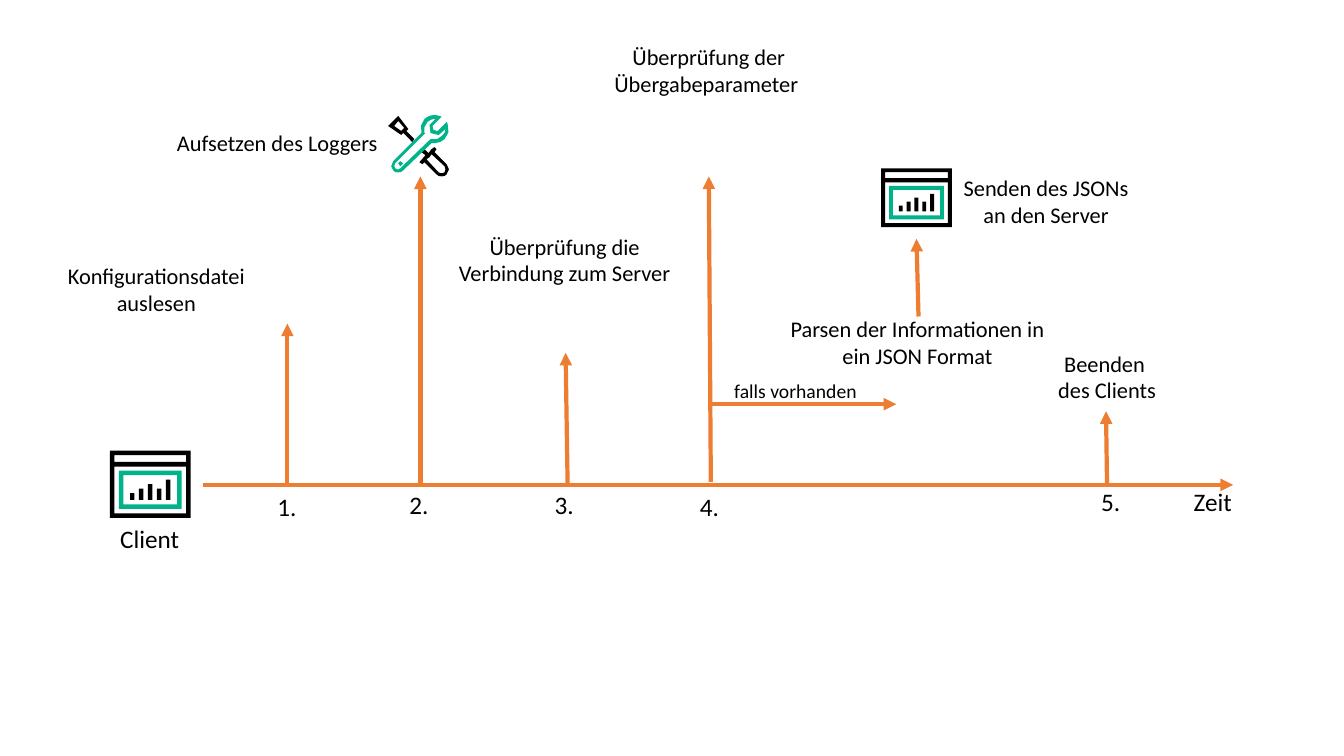
from lxml import etree
from pptx import Presentation
from pptx.dml.color import RGBColor
from pptx.enum.shapes import MSO_CONNECTOR
from pptx.enum.text import MSO_AUTO_SIZE, PP_ALIGN
from pptx.oxml.ns import qn
from pptx.util import Inches, Pt

STRAIGHT = MSO_CONNECTOR.STRAIGHT
GROW = MSO_AUTO_SIZE.SHAPE_TO_FIT_TEXT
LEFT, CENTER = PP_ALIGN.LEFT, PP_ALIGN.CENTER

BLACK = RGBColor(0x00, 0x00, 0x00)
GREEN = RGBColor(0x00, 0xB3, 0x88)
ORANGE = RGBColor(0xED, 0x7D, 0x31)

COLUMNS, ROWS = 13.33, 7.5
SLIDE_WIDTH, SLIDE_HEIGHT = Inches(COLUMNS), Inches(ROWS)
BLANK_LAYOUT = 6

# Icon outlines in icon units; inner contours cut holes.
SCREWDRIVER = [
    [(15, 18), (24, 27), (26, 24), (18, 16), (20, 14), (10, 1), (0, 11), (13, 20)],
    [(6, 11), (10, 6), (16, 13), (13, 16)],
    [(58, 49), (46, 37), (48, 34), (46, 32), (43, 34), (40, 38), (36, 34),
     (33, 37), (37, 40), (31, 47), (34, 49), (36, 47), (48, 59), (50, 60.6),
     (53, 61), (56, 60.6), (58, 59), (60.3, 54)],
    [(56, 57), (54, 57.8), (52, 57.8), (50, 57), (38, 44), (41, 42), (43, 39),
     (56, 51), (56.8, 54)],
]
WRENCH = [
    [(10, 57), (7, 56.8), (5, 55), (3, 51), (5, 46), (33, 18), (32.6, 10.6),
     (36, 4), (40.6, 1), (46, 0), (51, 1), (53, 2), (44, 11), (45, 15), (49, 16),
     (58, 7), (59, 9), (59.8, 17.3), (56, 24), (51.6, 27), (46, 28), (43, 28),
     (15, 55), (12.6, 56.8)],
    [(46, 4), (42.5, 4.8), (39, 7), (36, 12.1), (36, 18), (37, 18), (7, 48),
     (6, 51), (7, 53), (9.5, 54.2), (12, 53), (42, 24), (43, 24), (48.8, 23.9),
     (53, 21), (55.8, 18), (57, 14), (50, 20), (42, 18), (41, 10), (47, 4)],
    [(15, 48), (12, 46), (10, 48), (12, 51)],
]
WINDOW_UNITS = 18
BAR_TOPS = [9.5, 8.5, 7.5, 8.5, 6.5]
BAR_BOTTOM = 11


def rectangle(left, top, right, bottom):
    return [(left, top), (right, top), (right, bottom), (left, bottom)]


class TimelineSlide:
    def __init__(self, deck):
        self.shapes = deck.slides.add_slide(deck.slide_layouts[BLANK_LAYOUT]).shapes
        self.column = SLIDE_WIDTH / COLUMNS
        self.row = SLIDE_HEIGHT / ROWS
        self.font = "Calibri"

    def place(self, x, y):
        return round(x * self.column), round(y * self.row)

    def arrow(self, start, end):
        connector = self.shapes.add_connector(
            STRAIGHT, *self.place(*start), *self.place(*end))
        connector.line.color.rgb = ORANGE
        connector.line.width = Pt(3)
        etree.SubElement(connector.line._get_or_add_ln(), qn("a:tailEnd"), type="triangle")
        etree.SubElement(connector._element.spPr, qn("a:effectLst"))

    def label(self, text, x, y, width, height, size=16, align=CENTER):
        box = self.shapes.add_textbox(*self.place(x, y), *self.place(width, height))
        frame = box.text_frame
        frame.word_wrap = True
        frame.auto_size = GROW
        frame.text = text
        paragraph = frame.paragraphs[0]
        paragraph.alignment = align
        for run in paragraph.runs:
            run.font.name = self.font
            run.font.size = Pt(size)
            run.font.color.rgb = BLACK

    def outline(self, contours, color, x, y, unit):
        """Fill closed contours given in icon units of `unit` columns."""
        precision = 10
        scaled = [[(px * precision, py * precision) for px, py in contour]
                  for contour in contours]
        builder = self.shapes.build_freeform(
            *scaled[0][0], scale=unit * self.column / precision)
        for contour in scaled:
            if contour is not scaled[0]:
                builder.move_to(*contour[0])
            builder.add_line_segments(contour[1:], close=True)
        shape = builder.convert_to_shape(*self.place(x, y))
        shape.fill.solid()
        shape.fill.fore_color.rgb = color
        shape.line.fill.background()
        shape.shadow.inherit = False

    def window_icon(self, x, y, width):
        unit = width / WINDOW_UNITS
        screen = [rectangle(2, 4.5, 16, 13), rectangle(3, 5.5, 15, 12)]
        frame = [rectangle(0, 0, 18, 15), rectangle(1, 1, 17, 2.5),
                 rectangle(1, 3.6, 17, 14)]
        bars = [rectangle(4.5 + 2 * i, top, 5.5 + 2 * i, BAR_BOTTOM)
                for i, top in enumerate(BAR_TOPS)]
        self.outline(screen, GREEN, x, y, unit)
        self.outline(frame + bars, BLACK, x, y, unit)

    def tools_icon(self, x, y):
        for contours, color in [(SCREWDRIVER, BLACK), (WRENCH, GREEN)]:
            self.outline(contours, color, x, y, 0.01)


def main():
    deck = Presentation()
    deck.slide_width, deck.slide_height = SLIDE_WIDTH, SLIDE_HEIGHT
    timeline = TimelineSlide(deck)

    timeline.arrow((2.01, 4.81), (12.23, 4.81))
    timeline.label("Zeit", 11.74, 4.78, 1.01, 0.4, 18, LEFT)
    timeline.window_icon(1.09, 4.47, 0.8)
    timeline.label("Client", 0.98, 5.14, 1.01, 0.4, 18)
    timeline.tools_icon(3.85, 1.14)
    timeline.window_icon(8.74, 1.67, 0.7)

    # Arrow start, arrow end, left and top of the step number
    steps = [
        ((2.85, 4.81), (2.85, 3.21), (2.5, 4.83)),
        ((4.17, 4.83), (4.17, 1.75), (3.81, 4.81)),
        ((5.63, 4.83), (5.61, 3.5), (5.25, 4.81)),
        ((7.05, 4.78), (7.03, 1.75), (6.69, 4.83)),
        ((10.98, 4.83), (10.97, 4.08), (10.67, 4.78)),
    ]
    for number, (start, end, corner) in enumerate(steps, 1):
        timeline.arrow(start, end)
        timeline.label(f"{number}.", *corner, 0.69, 0.4, 18)

    timeline.arrow((7.05, 4.01), (8.89, 4.01))
    timeline.arrow((9.11, 3.14), (9.09, 2.37))

    activities = [
        ("Konfigurationsdatei auslesen", 0.19, 2.55, 2.72, 0.64),
        ("Aufsetzen des Loggers", 1.39, 1.23, 2.72, 0.37),
        ("Überprüfung die Verbindung zum Server", 4.24, 2.26, 2.72, 0.64),
        ("Überprüfung der Übergabeparameter ", 5.67, 0.38, 2.72, 0.64),
        ("Beenden \vdes Clients", 9.62, 3.42, 2.72, 0.64),
        ("Parsen der Informationen in ein JSON Format", 7.73, 3.08, 2.74, 0.64),
        ("Senden des JSONs an den Server", 9.35, 1.68, 2.05, 0.64),
    ]
    for activity in activities:
        timeline.label(*activity)
    timeline.label("falls vorhanden", 6.53, 3.71, 2.72, 0.34, 14)

    deck.save("out.pptx")


if __name__ == "__main__":
    main()
